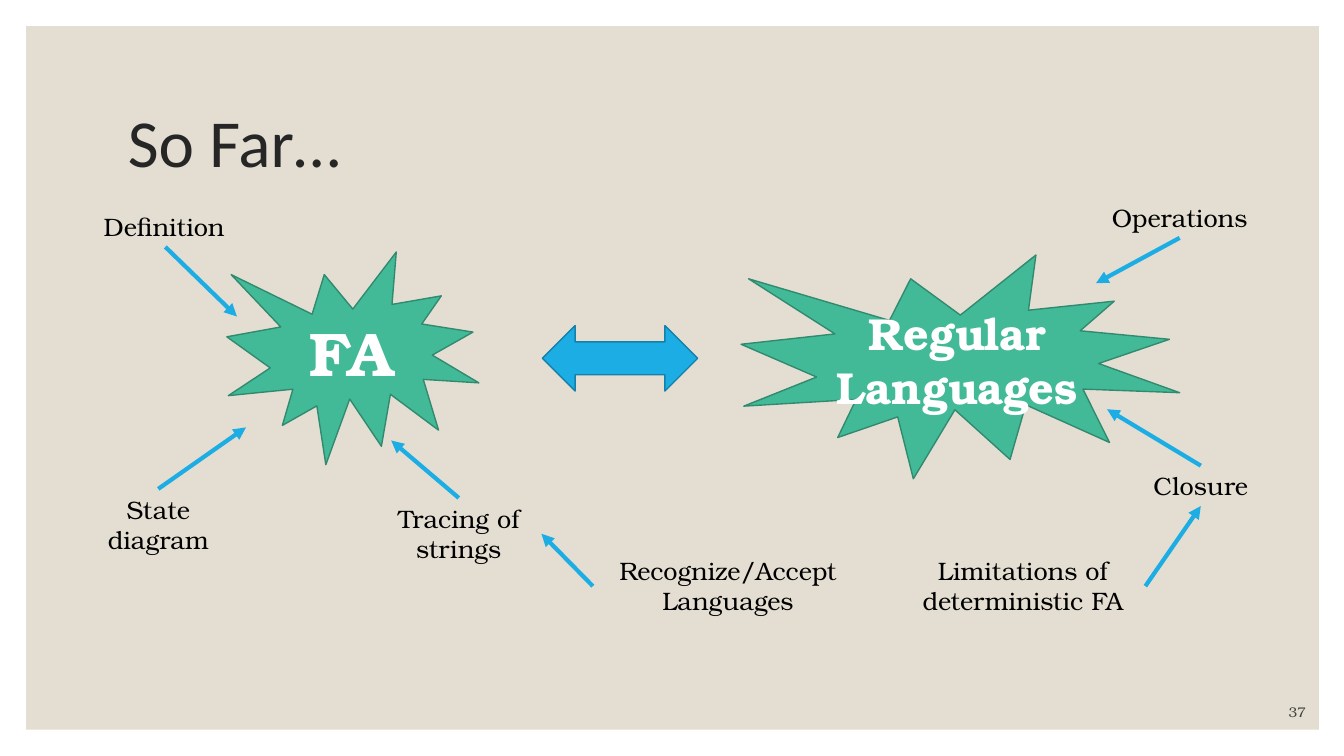
import pptx
import pptx.util
import pptx.dml.color
import pptx.enum.dml
import pptx.enum.shapes
import pptx.enum.text
import pptx.oxml
import pptx.oxml.ns

Inches, Pt = pptx.util.Inches, pptx.util.Pt
SHAPES = pptx.enum.shapes.MSO_SHAPE
ALIGN = pptx.enum.text.PP_ALIGN
ANCHOR = pptx.enum.text.MSO_ANCHOR
AUTO_SIZE = pptx.enum.text.MSO_AUTO_SIZE

TOP, LEFT, BOTTOM, RIGHT = range(4)

# Content: places are (left, top, width, height) in inches
PANEL = (0.26, 0.26, 12.82, 6.98)
HEADING = ("So Far…", (1.17, 0.7, 11, 1.5))
PAGE_NUMBER = ("37", (11.45, 6.9, 1.6, 0.3))
EQUIVALENCE = (5.38, 3.23, 1.54, 0.65)

TOPICS = [
    ("Definition", (0.93, 2.05, 1.42, 0.4), ALIGN.LEFT),
    ("State diagram", (0.86, 4.85, 1.42, 0.71), ALIGN.CENTER),
    ("Tracing of strings", (3.73, 4.94, 1.64, 0.71), ALIGN.CENTER),
    ("Operations", (10.87, 1.96, 1.66, 0.4), ALIGN.CENTER),
    ("Closure", (11.08, 4.62, 1.66, 0.4), ALIGN.CENTER),
    ("Recognize/Accept Languages", (5.88, 5.46, 2.68, 0.71), ALIGN.CENTER),
    ("Limitations of deterministic FA", (8.93, 5.46, 2.43, 0.71), ALIGN.CENTER),
]
# Text, place, type size role, inset
BURSTS = [
    ("FA", (2.25, 2.5, 2.5, 2.11), "short_burst", None),
    ("Regular Languages", (7.35, 2.53, 4.35, 2.22), "long_burst", 0),
]
# Topic, side it leaves from, point on the burst
TOPIC_TO_BURST = [
    ("Definition", BOTTOM, (2.35, 3.14)),
    ("State diagram", TOP, (2.44, 4.24)),
    ("Tracing of strings", TOP, (3.88, 4.37)),
    ("Operations", BOTTOM, (10.87, 2.81)),
    ("Closure", TOP, (10.98, 4.06)),
]
# Topic, side it leaves from, next topic, side it reaches
TOPIC_TO_TOPIC = [
    ("Recognize/Accept Languages", LEFT, "Tracing of strings", RIGHT),
    ("Limitations of deterministic FA", RIGHT, "Closure", BOTTOM),
]

THEME = {
    "panel": "E3DED1",
    "burst": "42BA97", "burst_edge": "318A70",
    "arrow": "1CADE4", "arrow_edge": "1580A9",
    "heading": "262626", "topic": "000000", "burst_text": "FFFFFF", "page": "404040",
    "heading_font": "Calibri", "body_font": "TeX Gyre Bonum",
    "sizes": {"heading": 48, "topic": 18, "short_burst": 44, "long_burst": 32, "page": 10},
    "edge_width": 1, "arrow_width": 3,
}


def color(role):
    return pptx.dml.color.RGBColor.from_string(THEME[role])


def inches(place):
    return [Inches(length) for length in place]


def write(holder, text, size, ink, align=ALIGN.LEFT, font="body_font", bold=False,
          line_spacing=None, **frame_format):
    frame = holder.text_frame
    frame.text = text
    for name, value in {"word_wrap": True, **frame_format}.items():
        setattr(frame, name, value)
    paragraph = frame.paragraphs[0]
    paragraph.alignment = align
    paragraph.line_spacing = line_spacing
    letters = {"name": THEME[font], "size": Pt(THEME["sizes"][size]), "bold": bold}
    for name, value in letters.items():
        setattr(paragraph.runs[0].font, name, value)
    paragraph.runs[0].font.color.rgb = color(ink)


def add_block(slide, preset, place, fill, edge=None):
    block = slide.shapes.add_shape(preset, *inches(place))
    block.shadow.inherit = False
    block.fill.solid()
    block.fill.fore_color.rgb = color(fill)
    if edge:
        block.line.color.rgb = color(edge)
        block.line.width = Pt(THEME["edge_width"])
    else:
        block.line.fill.background()
    return block


def add_arrow(slide, start, side, point=(0, 0)):
    """Draw an arrow from the middle of a topic's side to a point."""
    arrow = slide.shapes.add_connector(
        pptx.enum.shapes.MSO_CONNECTOR.STRAIGHT, 0, 0, *inches(point))
    arrow.begin_connect(start, side)
    arrow.line.color.rgb = color("arrow")
    arrow.line.width = Pt(THEME["arrow_width"])
    namespace = pptx.oxml.ns.nsdecls("a")
    line = arrow.line._get_or_add_ln()
    line.append(pptx.oxml.parse_xml(f'<a:tailEnd {namespace} type="triangle"/>'))
    line.addnext(pptx.oxml.parse_xml(f"<a:effectLst {namespace}/>"))
    return arrow


def main():
    deck = pptx.Presentation()
    deck.slide_width, deck.slide_height = inches((13.33, 7.5))
    slide = deck.slides.add_slide(deck.slide_layouts[6])

    add_block(slide, SHAPES.RECTANGLE, PANEL, "panel")

    heading, place = HEADING
    write(slide.shapes.add_textbox(*inches(place)), heading, "heading", "heading",
          font="heading_font", line_spacing=0.9, vertical_anchor=ANCHOR.MIDDLE)

    topics = {}
    for topic, place, align in TOPICS:
        topics[topic] = slide.shapes.add_textbox(*inches(place))
        write(topics[topic], topic, "topic", "topic", align,
              auto_size=AUTO_SIZE.SHAPE_TO_FIT_TEXT)

    for text, place, size, inset in BURSTS:
        burst = add_block(slide, SHAPES.EXPLOSION1, place, "burst", "burst_edge")
        margins = {} if inset is None else {
            f"margin_{side}": Inches(inset) for side in ("left", "top", "right", "bottom")}
        write(burst, text, size, "burst_text", ALIGN.CENTER, bold=True,
              vertical_anchor=ANCHOR.MIDDLE, **margins)

    add_block(slide, SHAPES.LEFT_RIGHT_ARROW, EQUIVALENCE, "arrow", "arrow_edge")

    for topic, side, point in TOPIC_TO_BURST:
        add_arrow(slide, topics[topic], side, point)
    for topic, side, next_topic, next_side in TOPIC_TO_TOPIC:
        add_arrow(slide, topics[topic], side).end_connect(topics[next_topic], next_side)

    number, place = PAGE_NUMBER
    write(slide.shapes.add_textbox(*inches(place)), number, "page", "page",
          ALIGN.RIGHT, vertical_anchor=ANCHOR.BOTTOM)

    deck.save("out.pptx")


if __name__ == "__main__":
    main()
